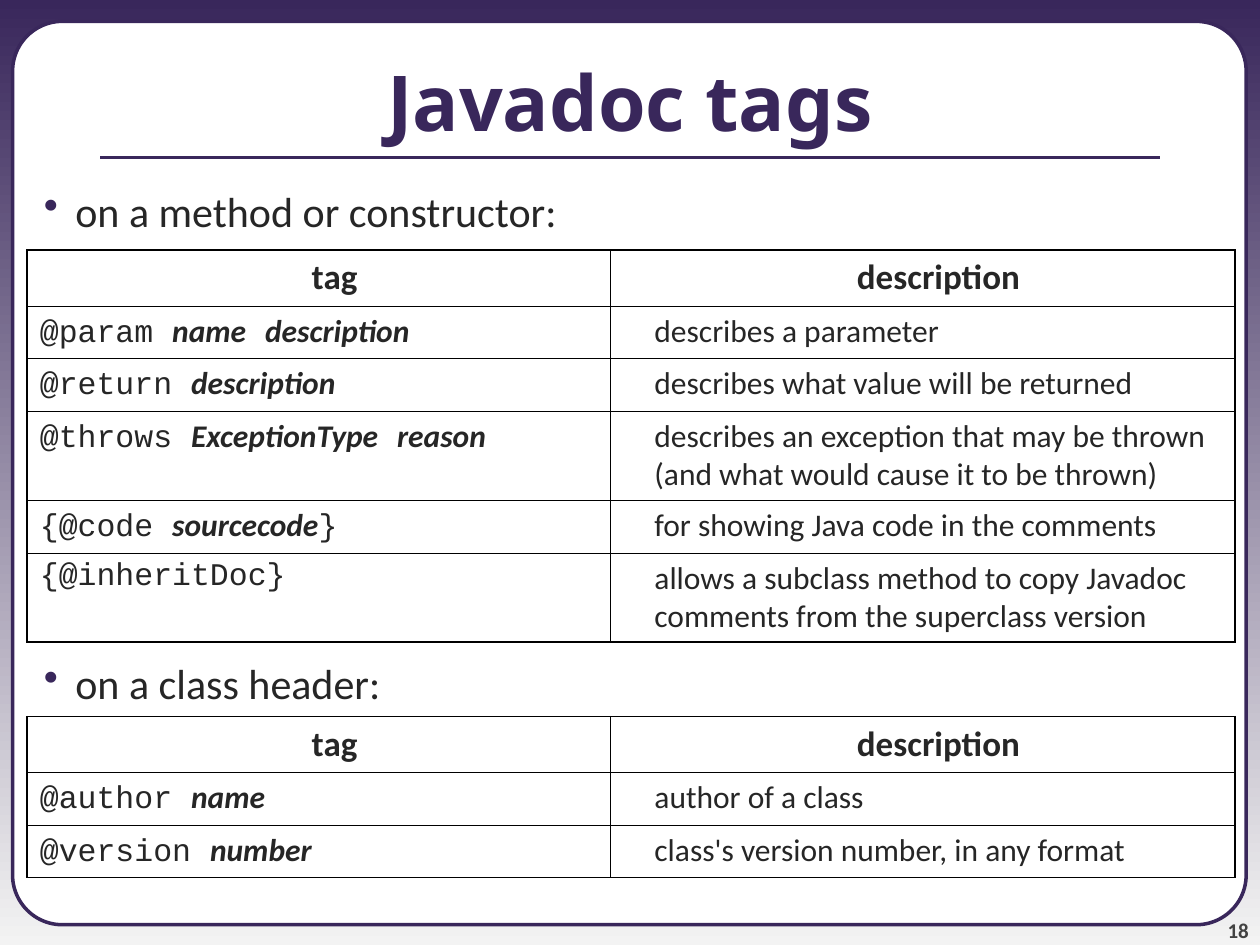
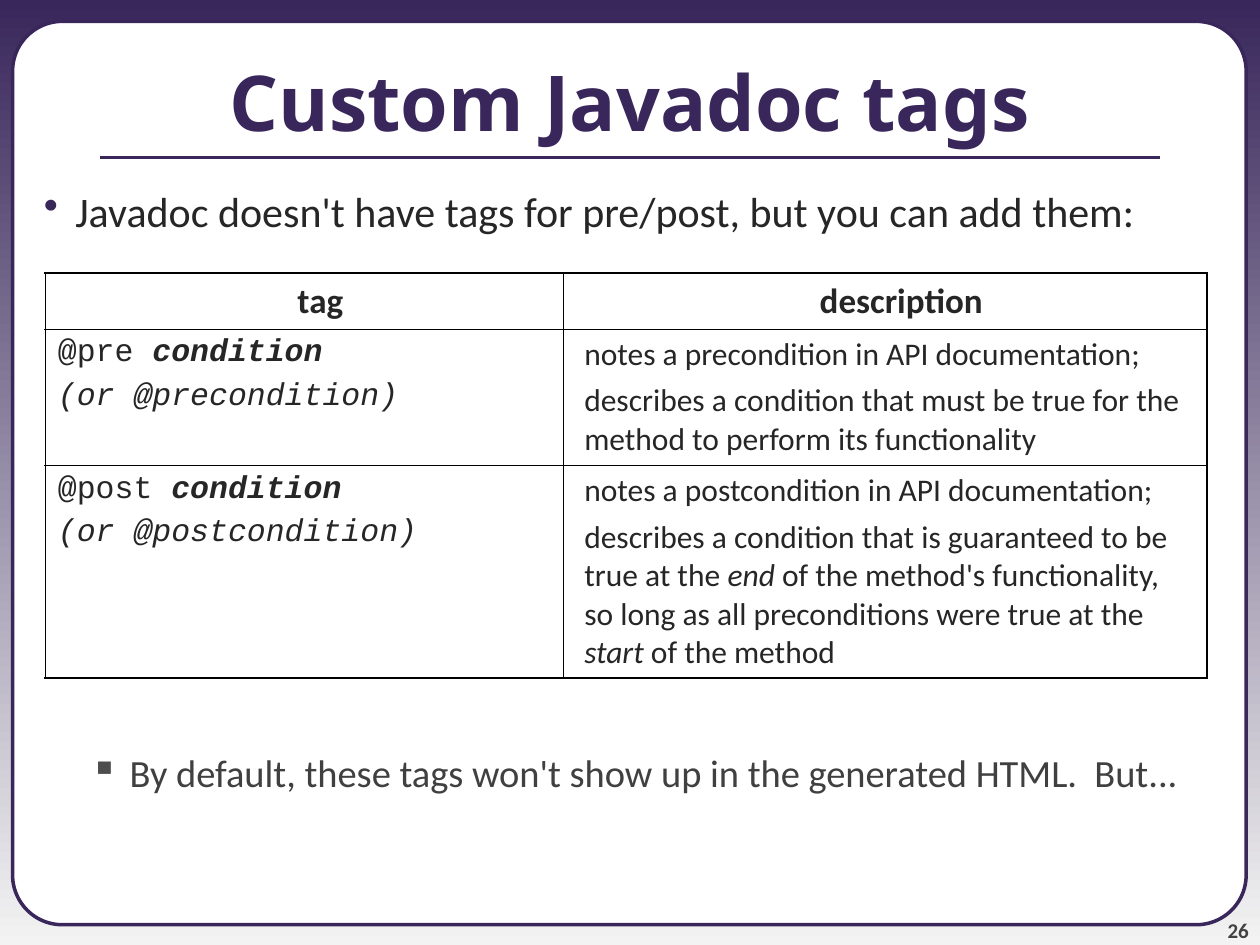
from lxml import etree
from pptx import Presentation
from pptx.dml.color import RGBColor
from pptx.enum.shapes import MSO_CONNECTOR, MSO_SHAPE
from pptx.enum.text import MSO_ANCHOR as ANCHOR, PP_ALIGN as ALIGN
from pptx.oxml.ns import qn
from pptx.util import Pt

PURPLE = RGBColor(0x39, 0x27, 0x5B)
PALE = RGBColor(0xF3, 0xF3, 0xF3)
WHITE = RGBColor(0xFF, 0xFF, 0xFF)
BLACK = RGBColor(0, 0, 0)
TEXT = RGBColor(0x26, 0x26, 0x26)
SUBTEXT = RGBColor(0x40, 0x40, 0x40)
SUBBULLET = RGBColor(0x4D, 0x4D, 0x4D)
NUMBER = RGBColor(0x42, 0x42, 0x42)

SANS, MONO, TITLE = "Calibri", "Courier New", "Noto Sans"
WIDTH, HEIGHT = 720, 540
OUTER, INNER = 1.08, 0.45
HEADER_HEIGHT, LINE_HEIGHT, DOUBLE_HEIGHT = 31.9, 30, 51.1

# Bullet levels: symbol, symbol colour, text size, text colour, left, hanging
TOP_LEVEL = ("•", PURPLE, 24, TEXT, 36, 18)
SUB_LEVEL = ("▪", SUBBULLET, 22, SUBTEXT, 67, 22.5)


def code(text, bold=False, italic=False):
    return text, MONO, bold, italic


def plain(text, italic=False):
    return text, SANS, False, italic


def argument(text):
    return text, SANS, True, True


def tag(name, *arguments):
    """One paragraph: a tag, then its arguments with fixed-width gaps."""
    runs = [code(name)]
    for word in arguments:
        runs += [code(" "), argument(word)]
    return [runs]


def note(text):
    return [[plain(text)]]


METHOD_TAGS = [
    (LINE_HEIGHT, tag("@param", "name", "description"),
     note("describes a parameter")),
    (LINE_HEIGHT, tag("@return", "description"),
     note("describes what value will be returned")),
    (DOUBLE_HEIGHT, tag("@throws", "ExceptionType", "reason"),
     note("describes an exception that may be thrown "
          "(and what would cause it to be thrown)")),
    (LINE_HEIGHT, [[code("{@code "), argument("sourcecode"), code("}")]],
     note("for showing Java code in the comments")),
    (DOUBLE_HEIGHT, tag("{@inheritDoc}"),
     note("allows a subclass method to copy Javadoc "
          "comments from the superclass version")),
]

CLASS_TAGS = [
    (LINE_HEIGHT, tag("@author", "name"), note("author of a class")),
    (LINE_HEIGHT, tag("@version", "number"),
     note("class's version number, in any format")),
]


def custom_tag(name):
    """Two paragraphs: the short tag and its long form."""
    return [[code(f"@{name} "), code("condition", True, True)],
            [code(f"(or @{name}condition)", italic=True)]]


CUSTOM_TAGS = [
    (78, custom_tag("pre"),
     note("notes a precondition in API documentation;")
     + note("describes a condition that must be true for the "
            "method to perform its functionality")),
    (121.5, custom_tag("post"),
     note("notes a postcondition in API documentation;")
     + [[plain("describes a condition that is guaranteed to be true at the "),
         plain("end", True),
         plain(" of the method's functionality, so long as all "
               "preconditions were true at the "),
         plain("start", True), plain(" of the method")]]),
]


def add_run(p, text, font, size, color, bold=False, italic=False):
    r = p.add_run()
    r.text = text
    r.font.name = font
    r.font.size = Pt(size)
    r.font.color.rgb = color
    r.font.bold = bold
    r.font.italic = italic


def add_textbox(s, box, anchor=ANCHOR.TOP):
    tf = s.shapes.add_textbox(*map(Pt, box)).text_frame
    tf.word_wrap = True
    tf.vertical_anchor = anchor
    return tf


def add_frame(s, box):
    """Gradient background, white rounded panel in box, and title rule."""
    fill = s.background.fill
    fill.gradient()
    fill.gradient_angle = 270
    for stop, color, position in zip(fill.gradient_stops, (PURPLE, PALE), (0, 1)):
        stop.color.rgb = color
        stop.position = position

    x, y, w, h = box
    panel = s.shapes.add_shape(MSO_SHAPE.ROUNDED_RECTANGLE, *map(Pt, box))
    panel.adjustments[0] = 0.055
    panel.shadow.inherit = False
    panel.fill.solid()
    panel.fill.fore_color.rgb = WHITE
    panel.line.color.rgb = PURPLE
    panel.line.width = Pt(2)

    rule_y = Pt(y + 77.76)
    rule = s.shapes.add_connector(
        MSO_CONNECTOR.STRAIGHT, Pt(x + 50), rule_y, Pt(x + w - 49), rule_y)
    rule.line.color.rgb = PURPLE
    rule.line.width = Pt(2.25)
    etree.SubElement(rule.element.spPr, qn("a:effectLst"))


def add_title(s, box, title):
    p = add_textbox(s, box, ANCHOR.MIDDLE).paragraphs[0]
    p.alignment = ALIGN.CENTER
    add_run(p, title, TITLE, 44, PURPLE, bold=True)


def add_number(s, box, number):
    tf = add_textbox(s, box, ANCHOR.BOTTOM)
    tf.margin_left = tf.margin_right = tf.margin_top = tf.margin_bottom = 0
    p = tf.paragraphs[0]
    p.alignment = ALIGN.RIGHT
    add_run(p, str(number), SANS, 12, NUMBER, bold=True)


def add_bullet(s, top, text, level):
    symbol, symbol_color, size, color, left, hanging = level
    p = add_textbox(s, (0, top, WIDTH, 38)).paragraphs[0]
    pPr = p._p.get_or_add_pPr()
    pPr.set("marL", str(Pt(left)))
    pPr.set("indent", str(-Pt(hanging)))
    clr = etree.SubElement(pPr, qn("a:buClr"))
    etree.SubElement(clr, qn("a:srgbClr"), val=str(symbol_color))
    etree.SubElement(pPr, qn("a:buChar"), char=symbol)
    add_run(p, text, SANS, size, color)


def set_borders(cell, **widths):
    """Draw cell edges; keys are L, R, T, B in schema order."""
    tcPr = cell._tc.get_or_add_tcPr()
    for side, width in widths.items():
        ln = etree.SubElement(tcPr, qn(f"a:ln{side}"), w=str(Pt(width)))
        fill = etree.SubElement(ln, qn("a:solidFill"))
        etree.SubElement(fill, qn("a:srgbClr"), val=str(BLACK))


def fill_cell(cell, paragraphs, size, indent, align):
    tf = cell.text_frame
    for i, runs in enumerate(paragraphs):
        p = tf.add_paragraph() if i else tf.paragraphs[0]
        p.alignment = align
        p._p.get_or_add_pPr().set("marL", str(Pt(indent)))
        if i:
            p.space_before = Pt(4.5)
        for text, font, bold, italic in runs:
            add_run(p, text, font, size, TEXT, bold, italic)


def add_tag_table(s, left, top, widths, entries, note_indent):
    heights = [HEADER_HEIGHT] + [height for height, *_ in entries]
    last_row, last_col = len(heights) - 1, len(widths) - 1
    table = s.shapes.add_table(
        len(heights), len(widths), Pt(left), Pt(top),
        Pt(sum(widths)), Pt(sum(heights))).table
    table.first_row = table.horz_banding = False
    for column, width in zip(table.columns, widths):
        column.width = Pt(width)
    for row, height in zip(table.rows, heights):
        row.height = Pt(height)

    header = [[[(name, SANS, True, False)]] for name in ("tag", "description")]
    for i, contents in enumerate([header] + [cells for _, *cells in entries]):
        for j, paragraphs in enumerate(contents):
            cell = table.cell(i, j)
            set_borders(cell,
                        L=INNER if j else OUTER,
                        R=OUTER if j == last_col else INNER,
                        T=INNER if i else OUTER,
                        B=OUTER if i == last_row else INNER)
            cell.fill.background()
            if i == 0:
                fill_cell(cell, paragraphs, 20, 18, ALIGN.CENTER)
            else:
                fill_cell(cell, paragraphs, 18, note_indent if j else 0, ALIGN.LEFT)


def add_slide(prs, title, number):
    s = prs.slides.add_slide(prs.slide_layouts[6])
    add_frame(s, (7.2, 12.24, 704.9, 516.2))
    add_number(s, (653.8, 509.8, 59.8, 28.8), number)
    add_title(s, (0, 12.24, WIDTH, 90), title)
    return s


def add_standard_tags(prs):
    s = add_slide(prs, "Javadoc tags", 18)
    widths = (333.2, 357)
    add_bullet(s, 102.24, "on a method or constructor:", TOP_LEVEL)
    add_tag_table(s, 15.6, 143, widths, METHOD_TAGS, 18)
    add_bullet(s, 372, "on a class header:", TOP_LEVEL)
    add_tag_table(s, 15.6, 409.5, widths, CLASS_TAGS, 18)


def add_custom_tags(prs):
    s = add_slide(prs, "Custom Javadoc tags", 26)
    add_bullet(s, 102.24,
               "Javadoc doesn't have tags for pre/post, but you can add them:",
               TOP_LEVEL)
    add_tag_table(s, 25.9, 156.2, (296.3, 367.7), CUSTOM_TAGS, 4.5)
    add_bullet(s, 424.5,
               "By default, these tags won't show up in the generated HTML.  But...",
               SUB_LEVEL)


def main():
    prs = Presentation()
    prs.slide_width, prs.slide_height = Pt(WIDTH), Pt(HEIGHT)
    add_standard_tags(prs)
    add_custom_tags(prs)
    prs.save("out.pptx")


if __name__ == "__main__":
    main()
